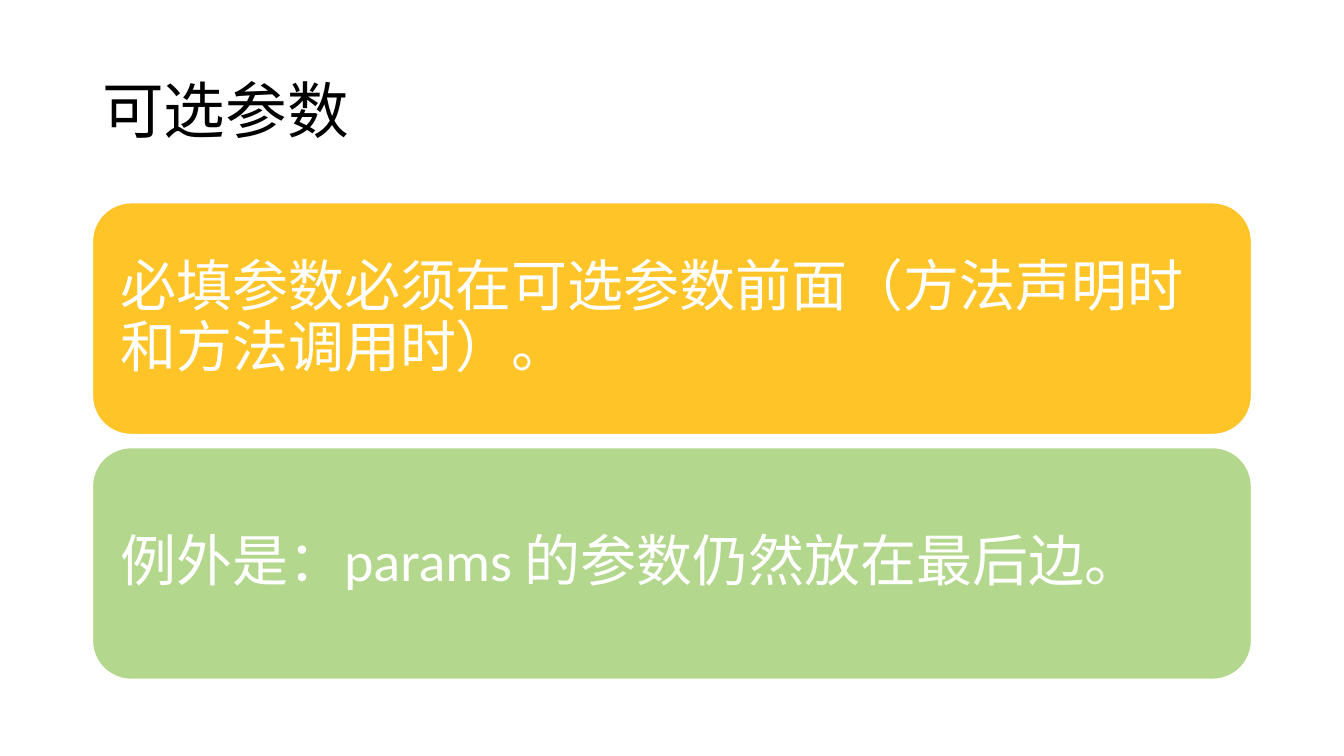
"""Build a slide about the ordering rules of optional parameters."""
from pptx import Presentation
from pptx.dml.color import RGBColor
from pptx.enum.shapes import MSO_SHAPE as Shape
from pptx.enum.text import MSO_ANCHOR as Anchor, PP_ALIGN as Align
from pptx.util import Cm, Pt

COLORS = {"black": "000000", "white": "FFFFFF", "amber": "FFC427", "green": "B4D78E"}
LEFT, WIDTH = Cm(2.33), Cm(29.21)
RULES = [
    ("必填参数必须在可选参数前面（方法声明时和方法调用时）。", "amber"),
    ("例外是：params 的参数仍然放在最后边。", "green"),
]


def color(name):
    return RGBColor.from_string(COLORS[name])


def write_text(box, text, font, size, shade):
    frame = box.text_frame
    frame.text = text
    frame.word_wrap = True
    frame.vertical_anchor = Anchor.MIDDLE
    para = frame.paragraphs[0]
    para.alignment = Align.LEFT
    para.line_spacing = 0.9
    for span in para.runs:
        span.font.name = font
        span.font.size = Pt(size)
        span.font.color.rgb = color(shade)


def add_title(page, text):
    box = page.shapes.add_textbox(LEFT, Cm(1.01), WIDTH, Cm(3.68))
    write_text(box, text, "League Spartan", 44, "black")


def add_rule_card(page, top, text, fill):
    card = page.shapes.add_shape(Shape.ROUNDED_RECTANGLE, LEFT, top, WIDTH, Cm(5.84))
    card.shadow.inherit = False
    card.fill.solid()
    card.fill.fore_color.rgb = color(fill)
    card.line.color.rgb = color("white")
    card.line.width = Pt(1)
    write_text(card, text, "Calibri", 40, "white")
    frame = card.text_frame
    frame.margin_left = frame.margin_right = Cm(0.42)
    frame.margin_top = frame.margin_bottom = Cm(0.42)


def main():
    deck = Presentation()
    deck.slide_width, deck.slide_height = Cm(33.87), Cm(19.05)
    page = deck.slides.add_slide(deck.slide_layouts[6])
    add_title(page, "可选参数")
    for index, (text, fill) in enumerate(RULES):
        add_rule_card(page, Cm(5.11 + 6.17 * index), text, fill)
    deck.save("out.pptx")


if __name__ == "__main__":
    main()
